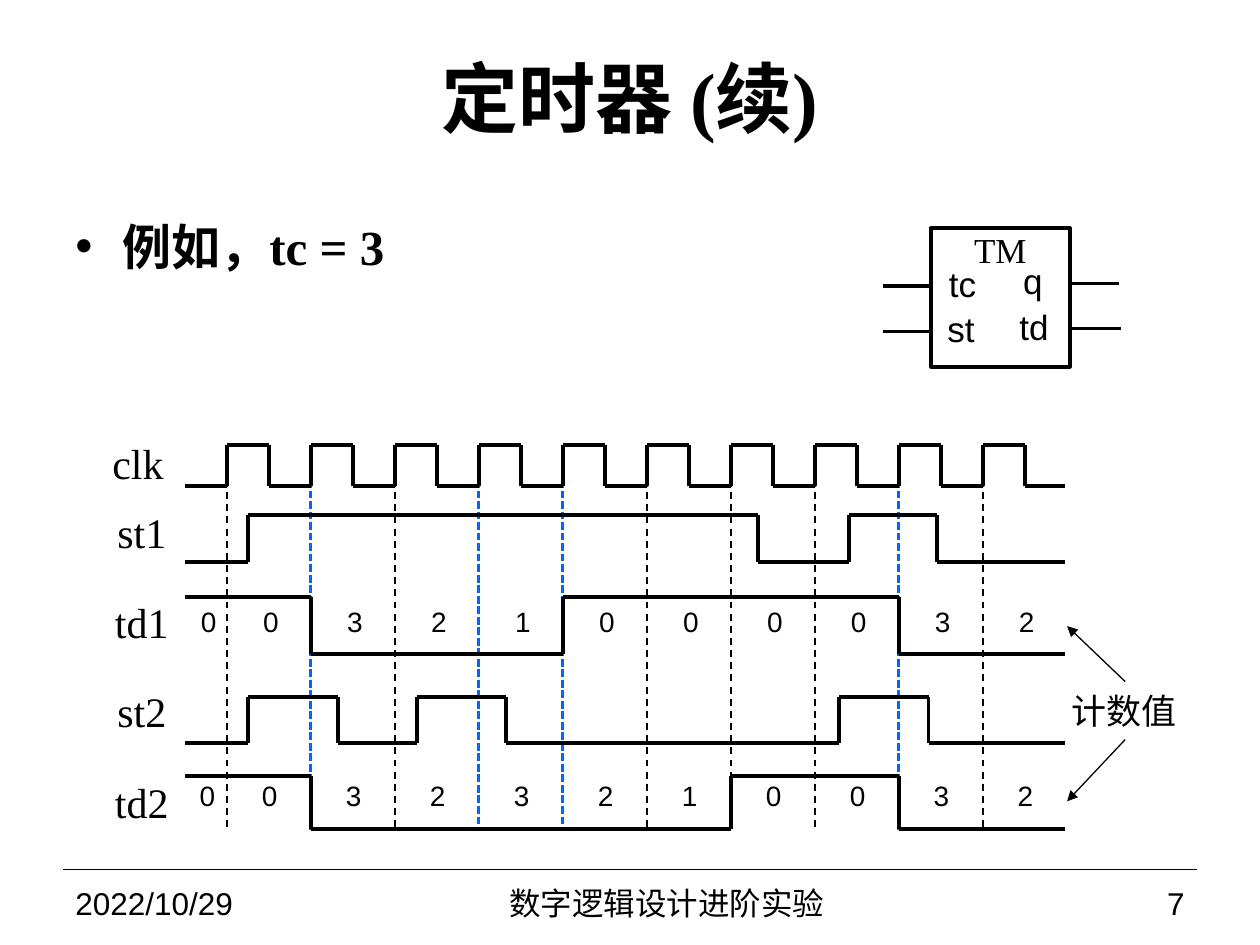
from lxml import etree
from pptx import Presentation
from pptx.dml.color import RGBColor
from pptx.enum.dml import MSO_LINE
from pptx.enum.shapes import MSO_CONNECTOR, MSO_SHAPE
from pptx.enum.text import MSO_ANCHOR, PP_ALIGN
from pptx.oxml.ns import qn
from pptx.util import Pt

BLACK = RGBColor(0x00, 0x00, 0x00)
BLUE = RGBColor(0x00, 0x66, 0xFF)
LEFT, CENTER, RIGHT = PP_ALIGN.LEFT, PP_ALIGN.CENTER, PP_ALIGN.RIGHT
TOP, MIDDLE = MSO_ANCHOR.TOP, MSO_ANCHOR.MIDDLE
DASH, SHORT_DASH = MSO_LINE.DASH, MSO_LINE.SQUARE_DOT
SERIF, SANS = "Times New Roman", "Arial"

# Time axis of the diagram
WAVE_START, WAVE_END = 105.8, 608.6
FIRST_TICK, PERIOD, TICKS = 129.6, 48, 10
BLUE_TICKS = (1, 3, 4, 8)
TICK_TOP, TICK_BOTTOM = 274.3, 474.5


def tick_x(tick):
    return FIRST_TICK + tick * PERIOD


# Signal: name, label (left, top, width), high y, low y, starts high, edge positions
SIGNALS = [
    ("clk", (64.1, 249.8, 29.5), 254.2, 277.9, False,
     [tick_x(half / 2) for half in range(2 * TICKS)]),
    ("st1", (67, 289.4, 28.1), 294.5, 321.1, False, [141.8, 433.4, 485, 535.7]),
    ("td1", (65.5, 340.6, 31), 341, 373.7, True, [tick_x(t) for t in (1, 4, 8)]),
    ("st2", (67, 391.7, 28.1), 398.2, 424.8, False,
     [141.8, 193, 238.3, 289.4, 479.5, 530.6]),
    ("td2", (65.5, 443.5, 31), 443.2, 473.8, True, [tick_x(t) for t in (1, 6, 8)]),
]

# Counter values: left, top, digits
COUNTERS = [
    (82.1, 442.8, "00323210032"),
    (82.8, 343.4, "00321000032"),
]
ROW_HEIGHT = 29.5

# Page text: text, box, alignment, anchor, font
PAGE_TEXTS = [
    ("定时器 (续)", (36, 21.6, 648, 67), CENTER, MIDDLE,
     {"name": SERIF, "size": Pt(44), "bold": True}),
    ("2022/10/29", (36, 502.6, 167.8, 26.6), LEFT, MIDDLE, {"name": SANS, "size": Pt(18)}),
    ("数字逻辑设计进阶实验", (203.8, 502.6, 354.2, 26.6), CENTER, MIDDLE,
     {"name": SANS, "size": Pt(18)}),
    ("7", (558, 502.6, 126, 26.6), RIGHT, MIDDLE, {"name": SANS, "size": Pt(18)}),
]
BULLET_TEXT, BULLET_BOX = "例如，tc = 3", (36, 120.2, 370, 99.4)

# Timer block
BLOCK_BOX = (532.1, 130.3, 79.2, 79.2)
PINS = [
    ("tc", (542.2, 149.8, 15.8, 24.5)),
    ("st", (541.4, 175.7, 15.8, 24.5)),
    ("q", (584.6, 146.2, 29.5, 28.1)),
    ("td", (582.5, 172.8, 29.5, 28.1)),
]
PIN_LINES = [
    (504.7, 532.1, 163.4, 2.25),
    (504.7, 532.1, 189.4, 1.5),
    (612, 639.4, 162, 2.25),
    (612, 640.8, 187.9, 1.5),
]

# Note on the counter values
NOTE_BOX = (609.1, 389.5, 66.2, 33.1)
NOTE_ARROWS = [((643, 389.5), (609.8, 357.8)), ((643, 422.6), (609.8, 457.9))]


def write(frame, text, align, anchor, font, margins=True, wrap=True):
    frame.word_wrap = wrap
    frame.vertical_anchor = anchor
    if not margins:
        for side in ("left", "top", "right", "bottom"):
            setattr(frame, f"margin_{side}", 0)
    paragraph = frame.paragraphs[0]
    paragraph.alignment = align
    run = paragraph.add_run()
    run.text = text
    for key, value in font.items():
        setattr(run.font, key, value)
    run.font.color.rgb = BLACK
    return paragraph


def add_text(slide, text, box, align, anchor, font, **options):
    shape = slide.shapes.add_textbox(*map(Pt, box))
    return write(shape.text_frame, text, align, anchor, font, **options)


def add_line(slide, start, end, width=2.25, color=BLACK, dash=None, arrow=False):
    line = slide.shapes.add_connector(MSO_CONNECTOR.STRAIGHT, *map(Pt, (*start, *end)))
    for key, value in {"width": Pt(width), "dash_style": dash}.items():
        setattr(line.line, key, value)
    line.line.color.rgb = color
    properties = line._element.spPr
    if arrow:
        etree.SubElement(properties.find(qn("a:ln")), qn("a:tailEnd"), type="triangle")
    etree.SubElement(properties, qn("a:effectLst"))


def add_counter(slide, left, top, digits):
    columns = len(digits)
    table = slide.shapes.add_table(1, columns, Pt(left), Pt(top),
                                   Pt(columns * PERIOD), Pt(ROW_HEIGHT)).table
    table.first_row = table.horz_banding = False
    for column, digit in enumerate(digits):
        table.columns[column].width = Pt(PERIOD)
        cell = table.cell(0, column)
        cell.fill.background()
        write(cell.text_frame, digit, CENTER if column else RIGHT, TOP,
              {"name": SANS, "size": Pt(16)})


def add_wave(slide, high, low, starts_high, edges):
    level, other = (high, low) if starts_high else (low, high)
    x = WAVE_START
    for edge in edges:
        add_line(slide, (x, level), (edge, level))
        add_line(slide, (edge, level), (edge, other))
        x, level, other = edge, other, level
    add_line(slide, (x, level), (WAVE_END, level))


def add_bullet(paragraph):
    properties = paragraph._p.get_or_add_pPr()
    properties.set("marL", str(Pt(27)))
    properties.set("indent", str(Pt(-27)))
    etree.SubElement(properties, qn("a:buFont"), typeface=SANS)
    etree.SubElement(properties, qn("a:buChar"), char="•")


def main():
    presentation = Presentation()
    presentation.slide_width, presentation.slide_height = Pt(720), Pt(540)
    slide = presentation.slides.add_slide(presentation.slide_layouts[6])

    # Title, footer and bullet
    add_line(slide, (36, 496.8), (684, 496.8), 0.75)
    for item in PAGE_TEXTS:
        add_text(slide, *item)
    add_bullet(add_text(slide, BULLET_TEXT, BULLET_BOX, LEFT, TOP,
                        {"name": SERIF, "size": Pt(28), "bold": True}))

    # Timing diagram
    for counter in COUNTERS:
        add_counter(slide, *counter)
    for tick in range(TICKS):
        x = tick_x(tick)
        style = (1.5, BLUE, SHORT_DASH) if tick in BLUE_TICKS else (1, BLACK, DASH)
        add_line(slide, (x, TICK_TOP), (x, TICK_BOTTOM), *style)
    for name, (left, top, width), *wave in SIGNALS:
        add_wave(slide, *wave)
        add_text(slide, name, (left, top, width, 28.8), CENTER, TOP,
                 {"name": SERIF, "size": Pt(24)}, margins=False, wrap=False)

    # Note with arrows
    add_text(slide, "计数值", NOTE_BOX, CENTER, MIDDLE,
             {"name": SANS, "size": Pt(20)}, margins=False, wrap=False)
    for start, end in NOTE_ARROWS:
        add_line(slide, start, end, 0.75, arrow=True)

    # Timer block with pins
    block = slide.shapes.add_shape(MSO_SHAPE.RECTANGLE, *map(Pt, BLOCK_BOX))
    block.shadow.inherit = False
    block.fill.background()
    block.line.color.rgb = BLACK
    block.line.width = Pt(2.25)
    write(block.text_frame, "TM", CENTER, TOP, {"name": SERIF, "size": Pt(20)},
          margins=False, wrap=False)
    for name, box in PINS:
        add_text(slide, name, box, LEFT, MIDDLE, {"name": SANS, "size": Pt(20)},
                 margins=False, wrap=False)
    for left, right, y, width in PIN_LINES:
        add_line(slide, (left, y), (right, y), width)

    presentation.save("out.pptx")


if __name__ == "__main__":
    main()
